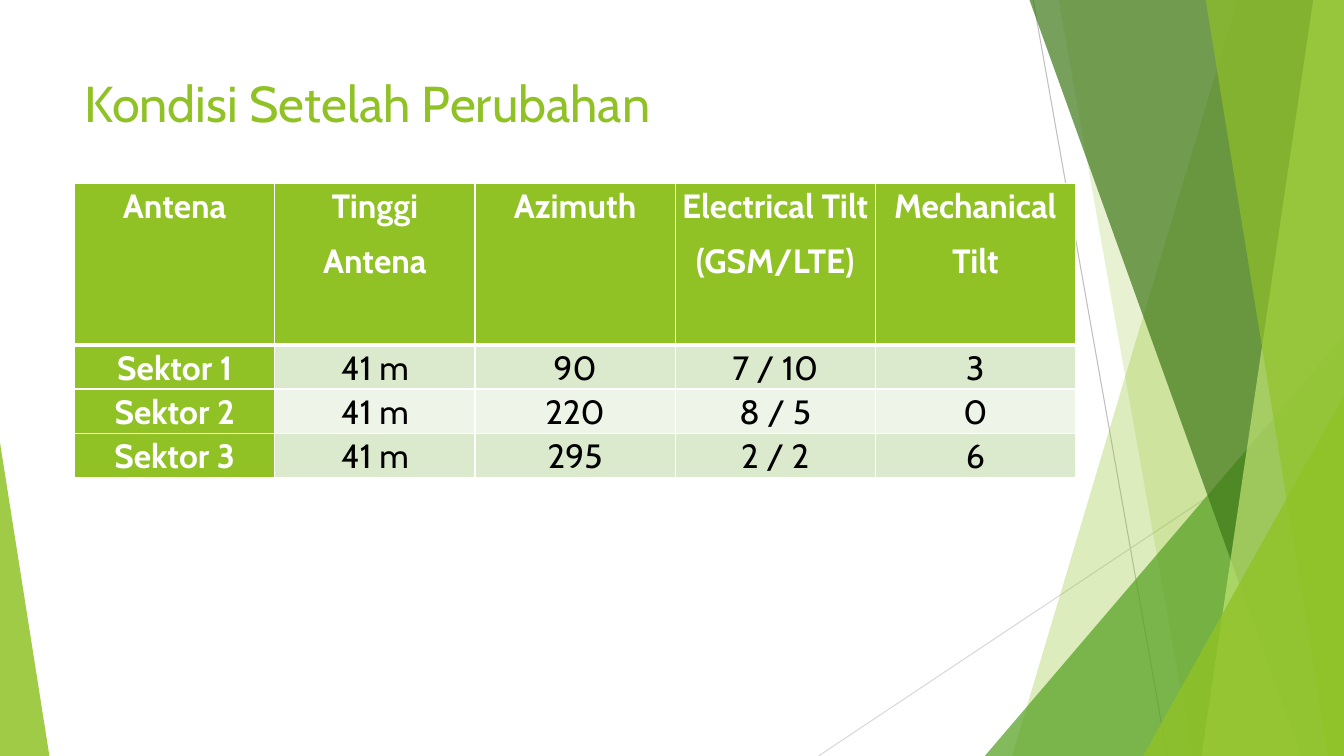
from lxml.etree import SubElement
from pptx import Presentation
from pptx.dml.color import RGBColor
from pptx.enum.shapes import MSO_CONNECTOR, MSO_SHAPE
from pptx.enum.text import MSO_ANCHOR, PP_ALIGN
from pptx.oxml.ns import qn
from pptx.util import Pt

LIME = RGBColor(0x90, 0xC2, 0x26)
GREEN = RGBColor(0x54, 0xA0, 0x21)
FOREST = RGBColor(0x3F, 0x78, 0x19)
PALE_LIME = RGBColor(0xC0, 0xE4, 0x74)
BAND_DARK = RGBColor(0xDB, 0xE9, 0xCD)
BAND_LIGHT = RGBColor(0xEE, 0xF4, 0xE8)
GREY = RGBColor(0xBF, 0xBF, 0xBF)
LIGHT_GREY = RGBColor(0xD9, 0xD9, 0xD9)
WHITE = RGBColor(0xFF, 0xFF, 0xFF)
BLACK = RGBColor(0, 0, 0)

TITLE = "Kondisi Setelah Perubahan"
ROWS = [
    ("Antena", "Tinggi\nAntena", "Azimuth", "Electrical Tilt\n(GSM/LTE)", "Mechanical\nTilt"),
    ("Sektor 1", "41 m", "90", "7 / 10", "3"),
    ("Sektor 2", "41 m", "220", "8 / 5", "0"),
    ("Sektor 3", "41 m", "295", "2 / 2", "6"),
]
WIDTH, HEIGHT = 960, 540
TOP = -0.72
RAYS = [
    ((738, 0), (833.76, HEIGHT), GREY),
    ((WIDTH, 290.16), (584.64, HEIGHT), LIGHT_GREY),
]
SHARDS = [
    ("band", 884.16, 722.88, LIME, 30),
    ("band", 756, 851.76, LIME, 20),
    ("peak", (703.44, 239.76, 256.56, 300.24), 1, GREEN, 72),
    ("band", 735.12, 929.52, FOREST, 70),
    ("band", 938.16, 858.24, PALE_LIME, 70),
    ("band", 861.12, 948.96, LIME, 65),
    ("peak", (816.48, 282.96, 143.52, 257.04), 1, LIME, 80),
    ("peak", (0, 316.08, 35.28, 223.92), 0, LIME, 85),
]
TITLE_BOX = (53.28, 48.24, 482.4, 59.04)
TABLE_LEFT, TABLE_TOP = 53.28, 131.04
COLUMN_WIDTH = 143
HEADER_HEIGHT, BODY_HEIGHT = 115.2, 31.68


def in_points(values):
    return [Pt(value) for value in values]


def set_all(target, values):
    for name, value in values.items():
        setattr(target, name, value)


def add_ray(slide, start, end, color):
    ray = slide.shapes.add_connector(MSO_CONNECTOR.STRAIGHT, *in_points(start + end))
    ray.line.color.rgb = color
    ray.line.width = Pt(0.75)
    SubElement(ray._element.spPr, qn("a:effectLst"))


def add_shard(slide, kind, place, end, color, opacity):
    if kind == "peak":
        shard = slide.shapes.add_shape(MSO_SHAPE.ISOSCELES_TRIANGLE, *in_points(place))
        shard.adjustments[0] = end
    else:
        outline = slide.shapes.build_freeform(Pt(place), Pt(TOP), scale=1.0)
        corners = [(WIDTH, TOP), (WIDTH, HEIGHT), (end, HEIGHT)]
        outline.add_line_segments([in_points(corner) for corner in corners], close=True)
        shard = outline.convert_to_shape()
    shard.shadow.inherit = False
    shard.line.fill.background()
    shard.fill.solid()
    shard.fill.fore_color.rgb = color
    tint = shard._element.spPr.find(qn("a:solidFill"))[0]
    SubElement(tint, qn("a:alpha"), val=str(opacity * 1000))


def add_borders(cell, widths):
    properties = cell._tc.get_or_add_tcPr()
    for side, width in widths.items():
        border = SubElement(properties, qn(f"a:ln{side}"), w=str(Pt(width)))
        fill = SubElement(border, qn("a:solidFill"))
        SubElement(fill, qn("a:srgbClr"), val=str(WHITE))


def fill_cell(cell, text, row, column):
    strong = row == 0 or column == 0
    set_all(cell, {
        "text": text, "vertical_anchor": MSO_ANCHOR.TOP,
        "margin_left": Pt(5.04), "margin_right": Pt(5.04),
        "margin_top": 0, "margin_bottom": 0,
    })
    add_borders(cell, {"L": 1, "R": 1, "T": 3 if row == 1 else 1, "B": 3 if row == 0 else 1})
    cell.fill.solid()
    cell.fill.fore_color.rgb = LIME if strong else BAND_DARK if row % 2 else BAND_LIGHT
    for paragraph in cell.text_frame.paragraphs:
        set_all(paragraph, {
            "alignment": PP_ALIGN.CENTER, "line_spacing": 1.07, "space_after": Pt(8),
        })
        indents = paragraph._p.get_or_add_pPr()
        indents.set("marL", str(Pt(21.6)))
        indents.set("indent", str(Pt(-21.6)))
        for run in paragraph.runs:
            set_all(run.font, {"name": "Cabin", "size": Pt(24), "bold": strong})
            run.font.color.rgb = WHITE if strong else BLACK


def add_antenna_table(slide):
    columns = len(ROWS[0])
    heights = [HEADER_HEIGHT] + [BODY_HEIGHT] * (len(ROWS) - 1)
    frame = (TABLE_LEFT, TABLE_TOP, COLUMN_WIDTH * columns, sum(heights))
    table = slide.shapes.add_table(len(ROWS), columns, *in_points(frame)).table
    for column in table.columns:
        column.width = Pt(COLUMN_WIDTH)
    for row, (texts, height) in enumerate(zip(ROWS, heights)):
        table.rows[row].height = Pt(height)
        for column, text in enumerate(texts):
            fill_cell(table.cell(row, column), text, row, column)


def main():
    deck = Presentation()
    set_all(deck, {"slide_width": Pt(WIDTH), "slide_height": Pt(HEIGHT)})
    slide = deck.slides.add_slide(deck.slide_layouts[5])
    for ray in RAYS:
        add_ray(slide, *ray)
    for shard in SHARDS:
        add_shard(slide, *shard)

    title = slide.shapes.title
    set_all(title, dict(zip(("left", "top", "width", "height"), in_points(TITLE_BOX))))
    title.text_frame.text = TITLE
    set_all(title.text_frame, {"vertical_anchor": MSO_ANCHOR.TOP, "word_wrap": True})
    heading = title.text_frame.paragraphs[0]
    heading.alignment = PP_ALIGN.LEFT
    set_all(heading.runs[0].font, {"name": "Cabin", "size": Pt(36)})
    heading.runs[0].font.color.rgb = LIME

    add_antenna_table(slide)
    deck.save("out.pptx")


if __name__ == "__main__":
    main()
